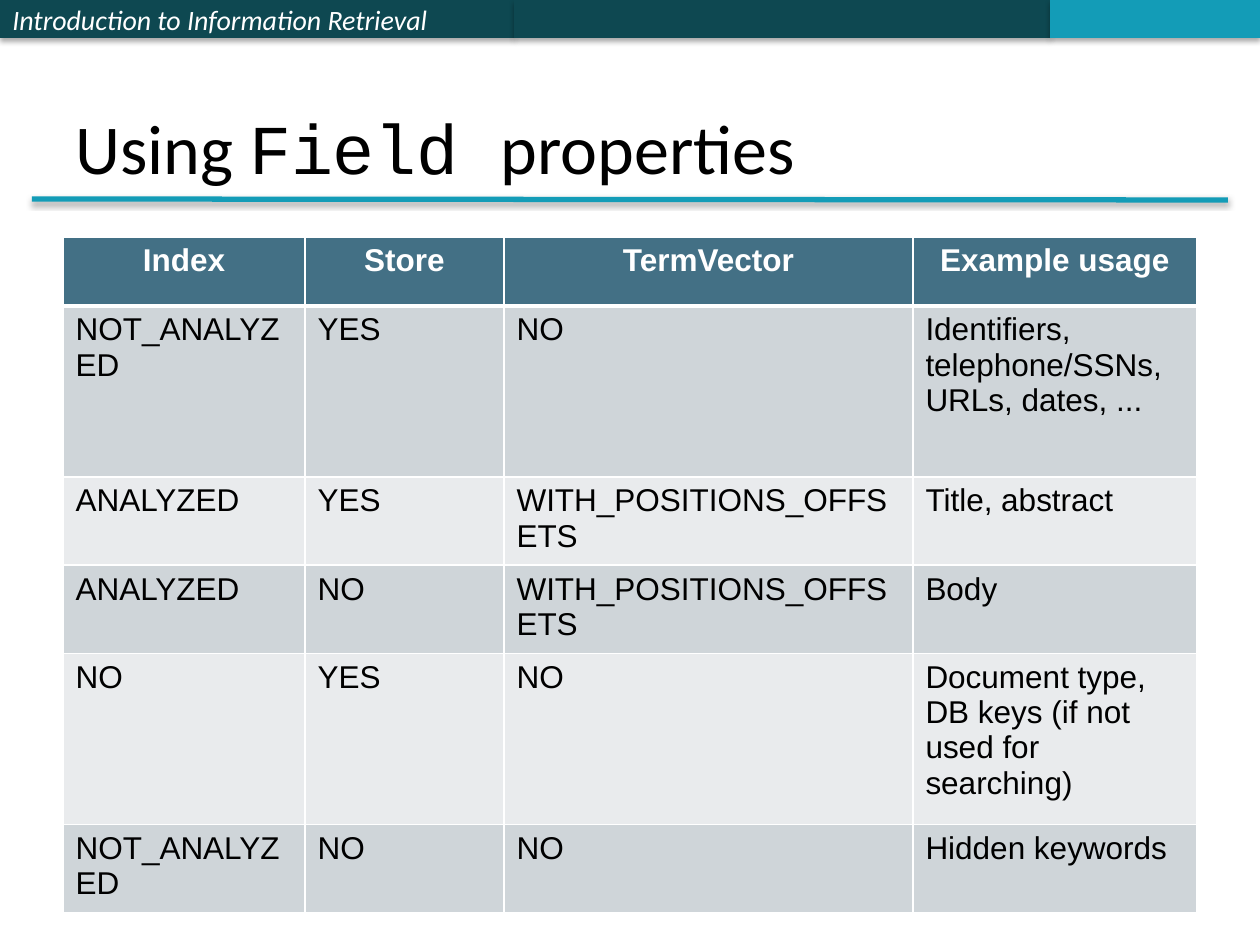
from dataclasses import dataclass
from typing import Any

from lxml import etree
from pptx import Presentation
from pptx.dml.color import RGBColor
from pptx.enum.shapes import MSO_CONNECTOR, MSO_SHAPE
from pptx.enum.text import MSO_ANCHOR, PP_ALIGN
from pptx.oxml.ns import qn
from pptx.util import Emu, Pt

RECT = MSO_SHAPE.RECTANGLE
LINE = MSO_CONNECTOR.STRAIGHT
MIDDLE = MSO_ANCHOR.MIDDLE
BOTTOM = MSO_ANCHOR.BOTTOM
LEFT = PP_ALIGN.LEFT
CENTER = PP_ALIGN.CENTER
SCALE = 914400 / 126
COLORS = {
    "dark": "0E4851", "teal": "139CB7", "head": "437085",
    "odd": "CFD5D9", "even": "E9EBED", "white": "FFFFFF", "black": "000000",
}


@dataclass(frozen=True)
class Bar:
    left: int
    width: int
    color: str
    text: str = ""


BARS = [
    Bar(0, 514, "dark", "Introduction to Information Retrieval"),
    Bar(514, 536, "dark"),
    Bar(1050, 210, "teal"),
]
TITLE = [("Using ", "Calibri"), ("Field ", "Courier New"), ("properties", "Calibri")]
WIDTHS = [242, 199, 409, 284]
HEIGHTS = [69, 171, 69, 69, 171, 69]
ROWS = [
    ("Index", "Store", "TermVector", "Example usage"),
    ("NOT_ANALYZED", "YES", "NO", "Identifiers, telephone/SSNs, URLs, dates, ..."),
    ("ANALYZED", "YES", "WITH_POSITIONS_OFFSETS", "Title, abstract"),
    ("ANALYZED", "NO", "WITH_POSITIONS_OFFSETS", "Body"),
    ("NO", "YES", "NO", "Document type, DB keys (if not used for searching)"),
    ("NOT_ANALYZED", "NO", "NO", "Hidden keywords"),
]


def px(size: float) -> Emu:
    return Emu(round(size * SCALE))


def rgb(name: str) -> RGBColor:
    return RGBColor.from_string(COLORS[name])


def write(frame: Any, runs: list[tuple[str, str]], *, size: int, color: str,
          bold: bool = False, italic: bool = False, align: PP_ALIGN = LEFT) -> None:
    frame.word_wrap = True
    para = frame.paragraphs[0]
    para.alignment = align
    for text, face in runs:
        run = para.add_run()
        run.text = text
        font = run.font
        font.name, font.size = face, Pt(size)
        font.bold, font.italic = bold, italic
        font.color.rgb = rgb(color)


def shade(shape: Any, alpha: int, dist: float) -> None:
    effects = etree.SubElement(shape._element.spPr, qn("a:effectLst"))
    shadow = etree.SubElement(effects, qn("a:outerShdw"), blurRad=str(Pt(3.1)),
                              dist=str(Pt(dist)), dir="5400000", rotWithShape="0")
    tint = etree.SubElement(shadow, qn("a:srgbClr"), val=COLORS["black"])
    etree.SubElement(tint, qn("a:alpha"), val=str(alpha * 1000))


def draw_bar(slide: Any, bar: Bar) -> None:
    shape = slide.shapes.add_shape(RECT, px(bar.left), 0, px(bar.width), px(38))
    shape.fill.solid()
    shape.fill.fore_color.rgb = rgb(bar.color)
    shape.line.fill.background()
    shade(shape, 35, 1.8)
    if bar.text:
        frame = shape.text_frame
        frame.vertical_anchor = MIDDLE
        write(frame, [(bar.text, "Calibri")], size=16, color="white", italic=True)


def draw_rule(slide: Any) -> None:
    rule = slide.shapes.add_connector(LINE, px(32), px(199), px(1228), px(200))
    rule.line.color.rgb = rgb("teal")
    rule.line.width = Pt(3)
    shade(rule, 38, 1.6)


def draw_title(slide: Any) -> None:
    box = slide.shapes.add_textbox(px(63), px(38), px(1134), px(157))
    box.text_frame.vertical_anchor = BOTTOM
    write(box.text_frame, TITLE, size=40, color="black")


def edge(cell: Any, side: str, width: int) -> None:
    line = etree.Element(qn(f"a:ln{side}"), w=str(Pt(width)))
    fill = etree.SubElement(line, qn("a:solidFill"))
    etree.SubElement(fill, qn("a:srgbClr"), val=COLORS["white"])
    cell._tc.get_or_add_tcPr().append(line)


def draw_cell(cell: Any, text: str, row: int) -> None:
    head = row == 0
    for side in "LRTB":
        thick = (head and side == "B") or (row == 1 and side == "T")
        edge(cell, side, 3 if thick else 1)
    cell.fill.solid()
    cell.fill.fore_color.rgb = rgb("head" if head else "odd" if row % 2 else "even")
    write(cell.text_frame, [(text, "Arial")], size=18, bold=head,
          color="white" if head else "black", align=CENTER if head else LEFT)


def draw_table(slide: Any) -> None:
    table = slide.shapes.add_table(len(ROWS), len(WIDTHS), px(63), px(237),
                                   px(sum(WIDTHS)), px(sum(HEIGHTS))).table
    for col, width in zip(table.columns, WIDTHS):
        col.width = px(width)
    for row, (height, texts) in enumerate(zip(HEIGHTS, ROWS)):
        table.rows[row].height = px(height)
        for col, text in enumerate(texts):
            draw_cell(table.cell(row, col), text, row)


def main() -> None:
    deck = Presentation()
    deck.slide_width, deck.slide_height = px(1260), px(945)
    slide = deck.slides.add_slide(deck.slide_layouts[6])
    for bar in BARS:
        draw_bar(slide, bar)
    draw_rule(slide)
    draw_title(slide)
    draw_table(slide)
    deck.save("out.pptx")


main()
